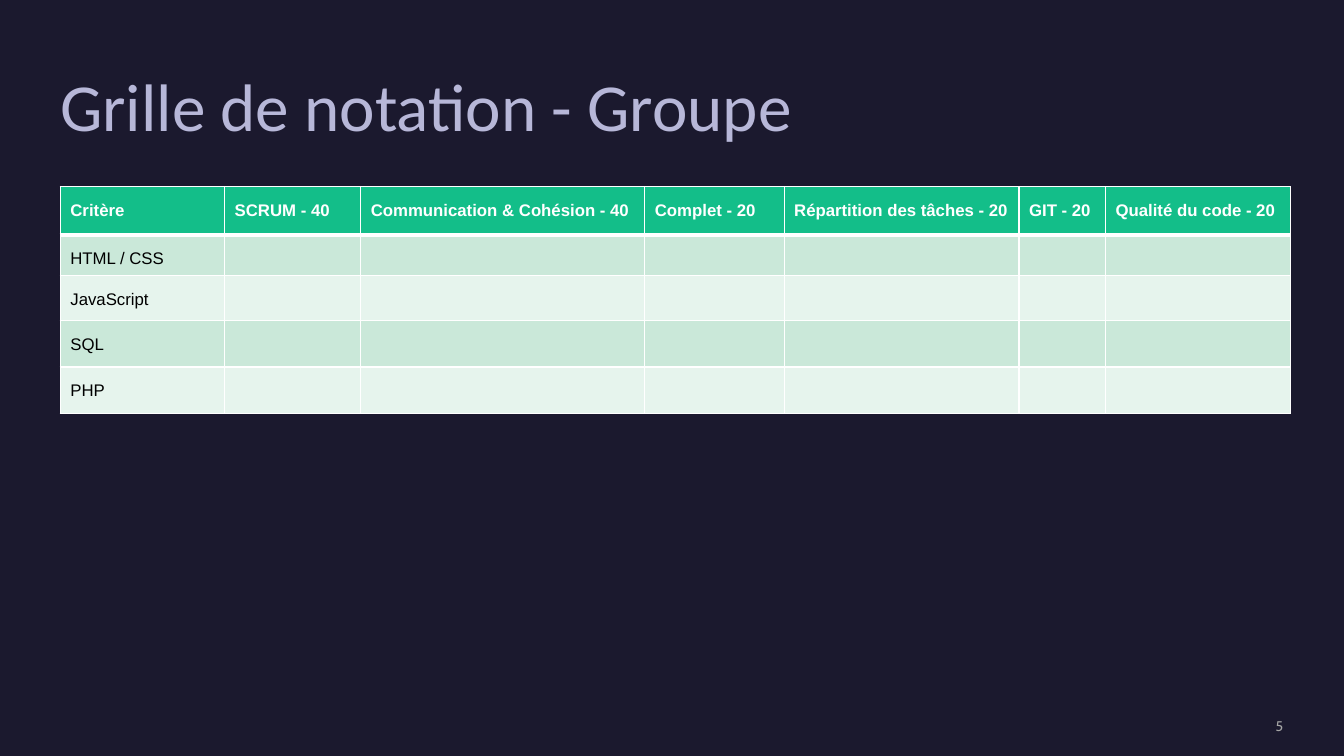
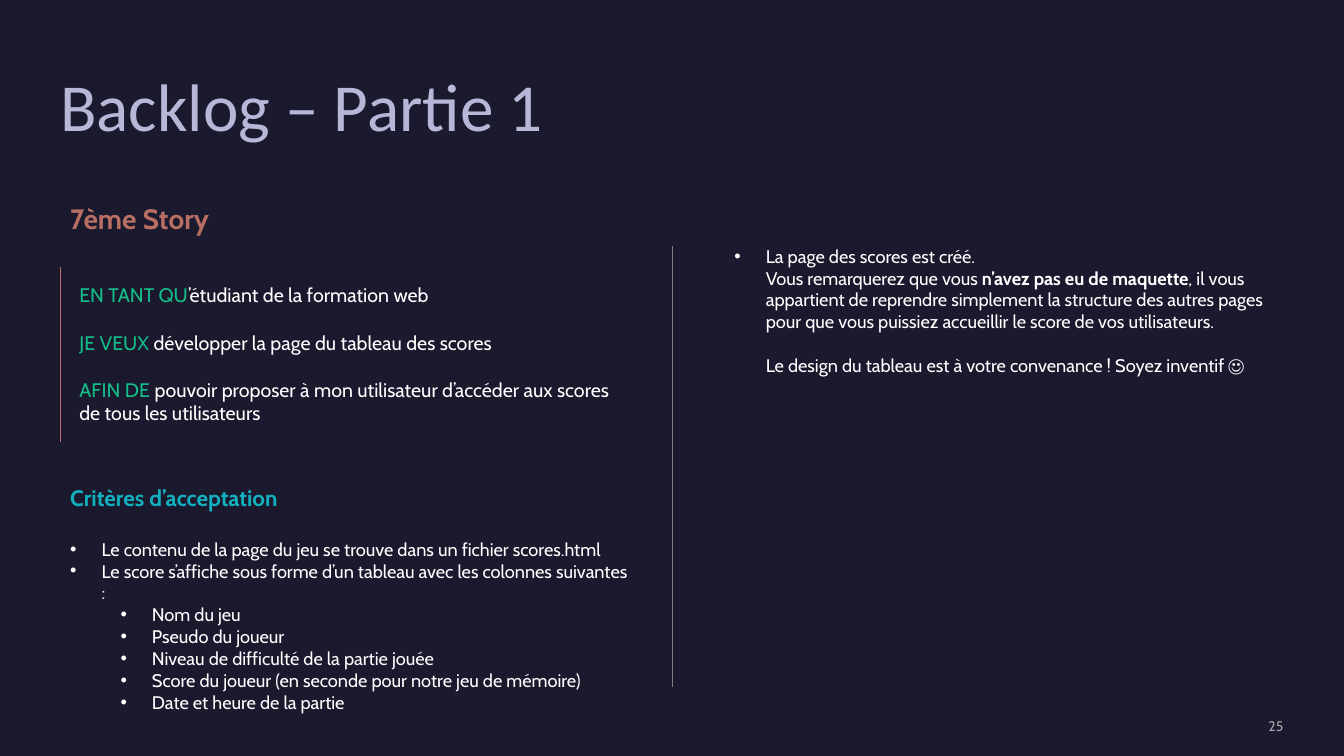
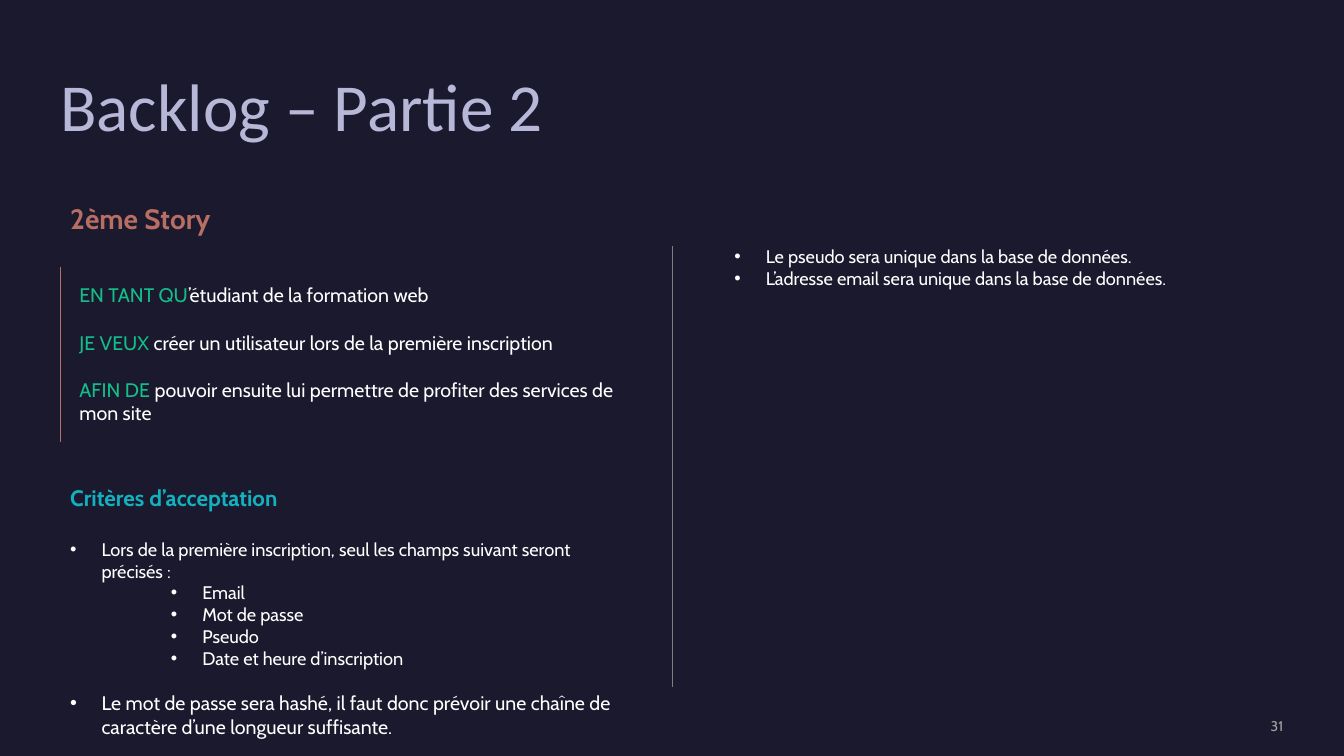
from lxml import etree
from pptx import Presentation, util as u
from pptx.dml.color import RGBColor
from pptx.enum import shapes, text
from pptx.oxml import ns

Cm, Pt = u.Cm, u.Pt

COLORS = {
    "back": "1B192E", "title": "B7B7D8", "number": "A5A5A5",
    "green": "13BE89", "copper": "B86E62", "teal": "12B1BF",
    "white": "FFFFFF", "black": "000000", "grey": "7F7F7F",
    "band_dark": "CAE8D9", "band_light": "E6F4ED",
}
RGB = {name: RGBColor.from_string(value) for name, value in COLORS.items()}
MARGIN = 1.52
HANG = 0.79


def add_box(s, left, top, width, height, inset=True):
    """Add a wrapping text box, lengths in cm, and return its text frame."""
    tf = s.shapes.add_textbox(Cm(left), Cm(top), Cm(width), Cm(height)).text_frame
    tf.word_wrap = True
    if not inset:
        tf.margin_left = tf.margin_right = tf.margin_top = tf.margin_bottom = 0
    return tf


def add_text(tf, *runs, size=13, color="white", font="Cabin", bold=False, line=None,
             before=0, after=0, align=None, level=None, bullet=True):
    """Add a paragraph; a run is a string or a (string, format changes) pair."""
    p = tf.paragraphs[0]
    if p.runs:
        p = tf.add_paragraph()
    p.alignment = align
    p.line_spacing = line
    p.space_before, p.space_after = Pt(before), Pt(after)
    for run in runs:
        content, changes = (run, {}) if isinstance(run, str) else run
        r = p.add_run()
        r.text = content
        r.font.name = font
        r.font.size = Pt(size)
        r.font.bold = changes.get("bold", bold)
        r.font.color.rgb = RGB[changes.get("color", color)]
    if level is not None:
        p.level = level
        pPr = p._p.get_or_add_pPr()
        pPr.set("marL", str(Cm(HANG + 1.27 * level)))
        pPr.set("indent", str(-Cm(HANG) if bullet else 0))
        if bullet:
            etree.SubElement(pPr, ns.qn("a:buFont"), typeface="Arial")
            etree.SubElement(pPr, ns.qn("a:buChar"), char="•")


prs = Presentation()
prs.slide_width, prs.slide_height = Cm(33.87), Cm(19.05)
back = prs.slide_master.background.fill
back.solid()
back.fore_color.rgb = RGB["back"]

# Title and page number of every slide
slides = []
for title, width, number in [("Grille de notation - Groupe", 20.42, "5"),
                             ("Backlog – Partie 1", 25, "25"),
                             ("Backlog – Partie 2", 25, "31")]:
    s = prs.slides.add_slide(prs.slide_layouts[6])
    add_text(add_box(s, MARGIN, 1.85, width, 4.34, inset=False), title,
             size=48, font="Calibri", color="title", line=0.9)
    tf = add_box(s, 27.64, 18.08, 4.7, 0.43, inset=False)
    tf.vertical_anchor = text.MSO_ANCHOR.MIDDLE
    add_text(tf, number, size=10, color="number", align=text.PP_ALIGN.RIGHT)
    slides.append(s)

# Grading table
headers = ["Critère", "SCRUM - 40", "Communication & Cohésion - 40", "Complet - 20",
           "Répartition des tâches - 20", "GIT - 20", "Qualité du code - 20"]
subjects = ["HTML / CSS", "JavaScript", "SQL", "PHP"]
col_widths = [4.14, 3.43, 7.16, 3.51, 5.92, 2.18, 4.67]
row_heights = [1.22, 1.02, 1.14, 1.17, 1.17]

grid = slides[0].shapes.add_table(len(row_heights), len(col_widths), Cm(MARGIN), Cm(4.7),
                                  Cm(sum(col_widths)), Cm(sum(row_heights))).table
for col, width in zip(grid.columns, col_widths):
    col.width = Cm(width)
for row, height in zip(grid.rows, row_heights):
    row.height = Cm(height)

rows = [headers] + [[subject] + [""] * (len(headers) - 1) for subject in subjects]
for i, row in enumerate(rows):
    head = i == 0
    for j, content in enumerate(row):
        cell = grid.cell(i, j)
        cell.fill.solid()
        cell.fill.fore_color.rgb = RGB["green" if head else "band_dark" if i % 2 else "band_light"]
        if content:
            add_text(cell.text_frame, content, size=12, font="Arial", bold=head,
                     color="white" if head else "black", line=1.5)
        borders = {"lnL": 1, "lnR": 1, "lnT": 3 if i == 1 else 1, "lnB": 3 if head else 1}
        for k, (side, weight) in enumerate(borders.items()):
            ln = etree.Element(ns.qn("a:" + side), w=str(Pt(weight)))
            fill = etree.SubElement(ln, ns.qn("a:solidFill"))
            etree.SubElement(fill, ns.qn("a:srgbClr"), val=COLORS["white"])
            cell._tc.get_or_add_tcPr().insert(k, ln)

# Backlog stories: criteria and notes hold (runs, format) pairs
stories = [
    {
        "name": "7ème Story",
        "want": "développer la page du tableau des scores",
        "goal": "pouvoir proposer à mon utilisateur d’accéder aux scores de tous les utilisateurs",
        "criteria": [
            (["Le contenu de la page du jeu se trouve dans un fichier scores.html"], {}),
            (["Le score s’affiche sous forme d’un tableau avec les colonnes suivantes :"], {}),
            (["Nom du jeu"], {"level": 1}),
            (["Pseudo du joueur"], {"level": 1}),
            (["Niveau de difficulté de la partie jouée"], {"level": 1}),
            (["Score du joueur (en seconde pour notre jeu de mémoire)"], {"level": 1}),
            (["Date et heure de la partie"], {"level": 1}),
        ],
        "notes_height": 3.58,
        "notes": [
            (["La page des scores est créé."], {}),
            (["Vous remarquerez que vous ", ("n’avez pas eu de maquette", {"bold": True}),
              ", il vous appartient de reprendre simplement la structure des autres pages "
              "pour que vous puissiez accueillir le score de vos utilisateurs."],
             {"bullet": False}),
            (["Le design du tableau est à votre convenance ! Soyez inventif ☺"],
             {"bullet": False, "before": 15.6}),
        ],
    },
    {
        "name": "2ème Story",
        "want": "créer un utilisateur lors de la première inscription",
        "goal": "pouvoir ensuite lui permettre de profiter des services de mon site",
        "criteria": [
            (["Lors de la première inscription, seul les champs suivant seront précisés :"], {}),
            (["Email"], {"level": 2}),
            (["Mot de passe"], {"level": 2}),
            (["Pseudo"], {"level": 2}),
            (["Date et heure d’inscription"], {"level": 2}),
            (["Le mot de passe sera hashé, il faut donc prévoir une chaîne de caractère "
              "d’une longueur suffisante."], {"size": 14, "before": 15.6}),
        ],
        "notes_height": 1.37,
        "notes": [
            (["Le pseudo sera unique dans la base de données."], {}),
            (["L’adresse email sera unique dans la base de données."], {}),
        ],
    },
]

for s, story in zip(slides[1:], stories):
    add_text(add_box(s, MARGIN, 4.95, 16.28, 1.12), story["name"],
             size=20, color="copper", bold=True)

    tf = add_box(s, 1.75, 7.01, 14.17, 3.84)
    sentences = [("EN TANT QU", "’étudiant de la formation web"),
                 ("JE VEUX ", story["want"]), ("AFIN DE ", story["goal"])]
    for i, (keyword, rest) in enumerate(sentences):
        add_text(tf, (keyword, {"color": "green"}), rest, size=14, before=17 if i else 0)

    criteria = add_box(s, MARGIN, 12.07, 14.55, 6.76)
    add_text(criteria, "Critères d’acceptation", size=16, color="teal", bold=True, after=19.4)
    notes = add_box(s, 18.26, 6.05, 14.4, story["notes_height"])
    for tf, items in [(criteria, story["criteria"]), (notes, story["notes"])]:
        for runs, changes in items:
            add_text(tf, *runs, **{"level": 0, **changes})

    for x, top, bottom, color, weight in [(MARGIN, 6.73, 11.15, "copper", 1),
                                          (16.94, 6.2, 17.3, "grey", 0.75)]:
        rule = s.shapes.add_connector(shapes.MSO_CONNECTOR.STRAIGHT,
                                      Cm(x), Cm(top), Cm(x), Cm(bottom))
        rule.line.color.rgb = RGB[color]
        rule.line.width = Pt(weight)
        etree.SubElement(rule._element.spPr, ns.qn("a:effectLst"))

prs.save("out.pptx")
